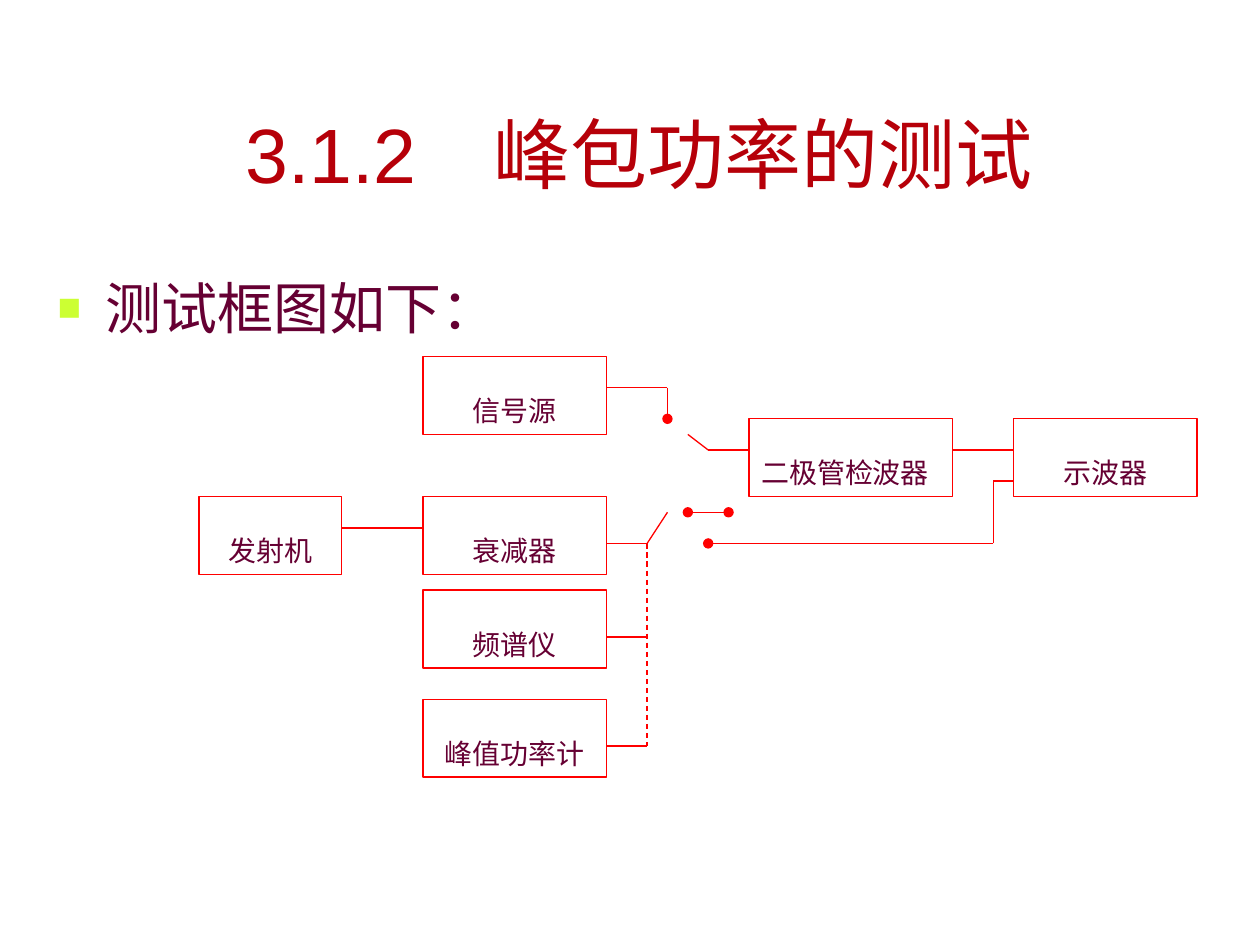
from dataclasses import dataclass
from itertools import pairwise

from lxml import etree
from pptx import Presentation
from pptx.dml.color import RGBColor
from pptx.enum import dml, shapes, text
from pptx.oxml.ns import qn
from pptx.util import Inches, Pt


@dataclass(frozen=True)
class Theme:
    title: str = "B60009"
    body: str = "660033"
    bullet: str = "CCFF33"
    line: str = "FF0000"
    title_size: int = 44
    body_size: int = 32
    box_size: int = 16
    line_width: float = 0.75
    font: str = "Arial"
    box_font: str = "Times New Roman"


THEME = Theme()

# Diagram grid: 49 columns by 25 rows of half steps
LEFT, TOP = 1.58, 2.83
COL = (9.5 - LEFT) / 49
ROW = (5.92 - TOP) / 25
BOX_ROWS = 5

# Label, column, row, width in columns
BOXES = [
    ("信号源", 11, 0, 9),
    ("二极管检波器", 27, 4, 10),
    ("示波器", 40, 4, 9),
    ("发射机", 7 - 7, 9, 7),
    ("衰减器", 11, 9, 9),
    ("频谱仪", 11, 15, 9),
    ("峰值功率计", 11, 22, 9),
]

# Wires as (column, row) corners, with the ends that carry a dot
WIRES = [
    ([(7, 11), (11, 11)], ""),                         # transmitter to attenuator
    ([(37, 6), (40, 6)], ""),                          # detector to oscilloscope
    ([(40, 8), (39, 8), (39, 12), (25, 12)], "tail"),  # direct oscilloscope input
    ([(20, 12), (22, 12), (23, 10)], ""),              # attenuator switch arm
    ([(20, 18), (22, 18)], ""),                        # spectrum analyser
    ([(20, 25), (22, 25)], ""),                        # peak power meter
    ([(20, 2), (23, 2), (23, 4)], "tail"),             # signal source contact
    ([(27, 6), (25, 6), (24, 5)], ""),                 # detector switch arm
    ([(24, 10), (26, 10)], "head tail"),               # switch contacts
]
DASHED = [(22, 12), (22, 25)]


def at(col, row):
    return Inches(LEFT + col * COL), Inches(TOP + row * ROW)


def write(sp, content, size, font, color, align):
    tf = sp.text_frame
    tf.word_wrap = True
    tf.text = content
    p = tf.paragraphs[0]
    p.alignment = align
    r = p.runs[0]
    r.font.size, r.font.name = Pt(size), font
    r.font.color.rgb = RGBColor.from_string(color)
    return p


def add_text(slide, area, content, size, color, align, anchor):
    sp = slide.shapes.add_textbox(*(Inches(v) for v in area))
    sp.text_frame.vertical_anchor = anchor
    return write(sp, content, size, THEME.font, color, align)


def add_bullet(p):
    pPr = p._p.get_or_add_pPr()
    pPr.set("marL", str(Inches(0.38)))
    pPr.set("indent", str(Inches(-0.38)))
    color = etree.SubElement(pPr, qn("a:buClr"))
    etree.SubElement(color, qn("a:srgbClr"), val=THEME.bullet)
    etree.SubElement(pPr, qn("a:buSzPct"), val="70000")
    etree.SubElement(pPr, qn("a:buFont"), typeface=THEME.font)
    etree.SubElement(pPr, qn("a:buChar"), char="■")


def style_line(line):
    line.color.rgb = RGBColor.from_string(THEME.line)
    line.width = Pt(THEME.line_width)


def add_box(slide, label, col, row, cols):
    sp = slide.shapes.add_shape(
        shapes.MSO_SHAPE.RECTANGLE, *at(col, row),
        Inches(cols * COL), Inches(BOX_ROWS * ROW))
    sp.shadow.inherit = False
    sp.fill.background()
    style_line(sp.line)
    sp.text_frame.vertical_anchor = text.MSO_ANCHOR.TOP
    # The widest box is justified, all others are centred
    align = text.PP_ALIGN.JUSTIFY if cols == 10 else text.PP_ALIGN.CENTER
    p = write(sp, label, THEME.box_size, THEME.box_font, THEME.body, align)
    p.line_spacing = 1.92


def add_line(slide, start, end):
    ln = slide.shapes.add_connector(
        shapes.MSO_CONNECTOR.STRAIGHT, *at(*start), *at(*end))
    style_line(ln.line)
    etree.SubElement(ln._element.spPr, qn("a:effectLst"))
    return ln


def add_wire(slide, corners, dots):
    lines = [add_line(slide, a, b) for a, b in pairwise(corners)]
    for end, ln in (("head", lines[0]), ("tail", lines[-1])):
        if end in dots:
            etree.SubElement(ln.line._get_or_add_ln(),
                             qn(f"a:{end}End"), type="oval")


def main():
    prs = Presentation()
    prs.slide_width, prs.slide_height = Inches(10), Inches(7.5)
    slide = prs.slides.add_slide(prs.slide_layouts[6])

    # Title and lead line
    add_text(slide, (0.35, 0.79, 9.45, 0.84), "3.1.2　峰包功率的测试",
             THEME.title_size, THEME.title,
             text.PP_ALIGN.CENTER, text.MSO_ANCHOR.BOTTOM)
    p = add_text(slide, (0.36, 2.12, 8.98, 4.5), "测试框图如下：",
                 THEME.body_size, THEME.body,
                 text.PP_ALIGN.JUSTIFY, text.MSO_ANCHOR.TOP)
    p.space_before = Pt(8)
    add_bullet(p)

    # Block diagram
    for box in BOXES:
        add_box(slide, *box)
    for corners, dots in WIRES:
        add_wire(slide, corners, dots)
    add_line(slide, *DASHED).line.dash_style = dml.MSO_LINE.DASH

    prs.save("out.pptx")


if __name__ == "__main__":
    main()
